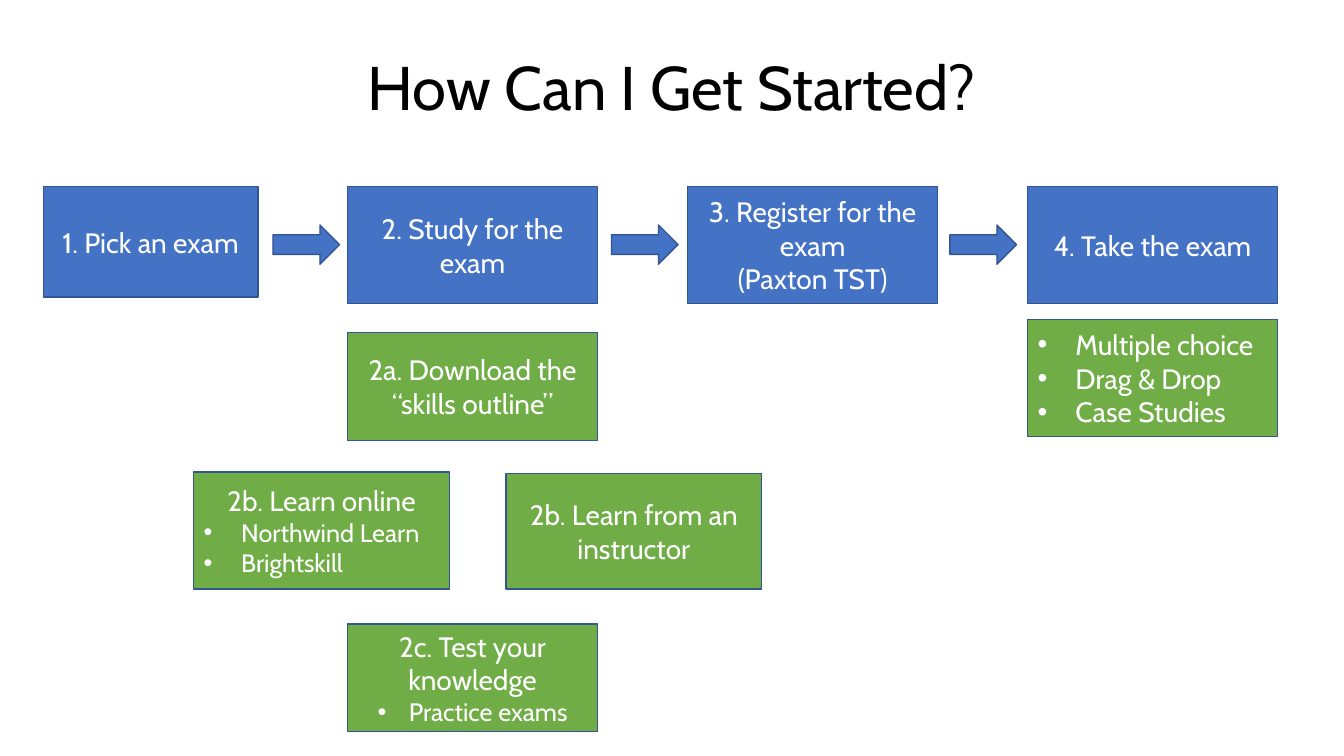
from lxml import etree
from pptx import Presentation
from pptx.dml.color import RGBColor
from pptx.enum.shapes import MSO_SHAPE
from pptx.enum.text import MSO_ANCHOR, PP_ALIGN
from pptx.oxml.ns import qn
from pptx.util import Cm, Pt

RECTANGLE, ARROW = MSO_SHAPE.RECTANGLE, MSO_SHAPE.RIGHT_ARROW
LEFT, CENTER = PP_ALIGN.LEFT, PP_ALIGN.CENTER
MIDDLE = MSO_ANCHOR.MIDDLE

BLUE = RGBColor(0x44, 0x72, 0xC4)
GREEN = RGBColor(0x70, 0xAD, 0x47)
OUTLINE = RGBColor(0x32, 0x54, 0x91)
WHITE = RGBColor(0xFF, 0xFF, 0xFF)
BLACK = RGBColor(0x00, 0x00, 0x00)
FONT = "Cabin"

# Paragraph formats
HEADING = {"size": 20}
BULLET = {"size": 20, "alignment": LEFT, "indent": 0.95}
SMALL_BULLET = {**BULLET, "size": 18}
CENTERED_BULLET = {"size": 18, "indent": 0.79}

# Lengths in centimetres
STEP_LEFT, STEP_PITCH, STEP_TOP = 8.76, 8.57, 4.7
BOX_WIDTH, BOX_HEIGHT, SUBSTEP_HEIGHT = 6.3, 2.95, 2.72
LEARN_WIDTH = 6.45
ARROW_LEFT, ARROW_PITCH, ARROW_TOP = 6.88, 8.53, 5.67
ARROW_WIDTH, ARROW_HEIGHT = 1.68, 0.99

TITLE = "How Can I Get Started?"
FIRST_STEP = [("1. Pick an exam", HEADING)]
NEXT_STEPS = [
    [("2. Study for the exam", HEADING)],
    [("3. Register for the exam", HEADING), ("(Paxton TST)", HEADING)],
    [("4. Take the exam", HEADING)],
]
STUDY_LEFT = STEP_LEFT
EXAM_LEFT = STEP_LEFT + 2 * STEP_PITCH
# (left, top, width, height), paragraphs
DETAILS = [
    ((STUDY_LEFT, 8.38, BOX_WIDTH, SUBSTEP_HEIGHT),
     [("2a. Download the “skills outline”", HEADING)]),
    ((4.88, 11.89, LEARN_WIDTH, BOX_HEIGHT),
     [("2b. Learn online", HEADING),
      ("Northwind Learn", SMALL_BULLET),
      ("Brightskill", SMALL_BULLET)]),
    ((12.75, 11.94, LEARN_WIDTH, 2.9),
     [("2b. Learn from an instructor", HEADING)]),
    ((STUDY_LEFT, 15.72, BOX_WIDTH, SUBSTEP_HEIGHT),
     [("2c. Test your knowledge", HEADING),
      ("Practice exams", CENTERED_BULLET)]),
    ((EXAM_LEFT, 8.05, BOX_WIDTH, BOX_HEIGHT),
     [("Multiple choice", BULLET),
      ("Drag & Drop", BULLET),
      ("Case Studies", BULLET)]),
]


def write(paragraph, text, size=20, color=WHITE, alignment=CENTER, indent=0):
    """Fill a paragraph; an indent in centimetres makes it a bullet."""
    paragraph.alignment = alignment
    run = paragraph.add_run()
    run.text = text
    run.font.name = FONT
    run.font.size = Pt(size)
    run.font.color.rgb = color
    if indent:
        properties = paragraph._p.get_or_add_pPr()
        properties.set("marL", str(Cm(indent)))
        properties.set("indent", str(-Cm(indent)))
        etree.SubElement(properties, qn("a:buFont")).set("typeface", "Arial")
        etree.SubElement(properties, qn("a:buChar")).set("char", "•")


def add_block(slide, kind, bounds, fill, paragraphs=()):
    shape = slide.shapes.add_shape(kind, *[Cm(length) for length in bounds])
    shape.shadow.inherit = False
    shape.fill.solid()
    shape.fill.fore_color.rgb = fill
    shape.line.color.rgb = OUTLINE
    shape.line.width = Pt(1)
    frame = shape.text_frame
    frame.word_wrap = True
    frame.vertical_anchor = MIDDLE
    for index, (text, style) in enumerate(paragraphs):
        paragraph = frame.add_paragraph() if index else frame.paragraphs[0]
        write(paragraph, text, **style)


def add_title(slide):
    title = slide.shapes.title
    title.left, title.top = Cm(2.33), Cm(1.01)
    title.width, title.height = Cm(29.21), Cm(2.54)
    title.text_frame.vertical_anchor = MIDDLE
    paragraph = title.text_frame.paragraphs[0]
    paragraph.line_spacing = 0.9
    write(paragraph, TITLE, size=44, color=BLACK)


def main():
    presentation = Presentation()
    presentation.slide_width, presentation.slide_height = Cm(33.87), Cm(19.05)
    slide = presentation.slides.add_slide(presentation.slide_layouts[5])
    add_title(slide)

    add_block(slide, RECTANGLE, (1.09, STEP_TOP, 5.41, 2.79), BLUE, FIRST_STEP)
    for index, paragraphs in enumerate(NEXT_STEPS):
        step = (STEP_LEFT + index * STEP_PITCH, STEP_TOP, BOX_WIDTH, BOX_HEIGHT)
        add_block(slide, RECTANGLE, step, BLUE, paragraphs)
        arrow = (ARROW_LEFT + index * ARROW_PITCH, ARROW_TOP, ARROW_WIDTH, ARROW_HEIGHT)
        add_block(slide, ARROW, arrow, BLUE)
    for bounds, paragraphs in DETAILS:
        add_block(slide, RECTANGLE, bounds, GREEN, paragraphs)

    presentation.save("out.pptx")


if __name__ == "__main__":
    main()
